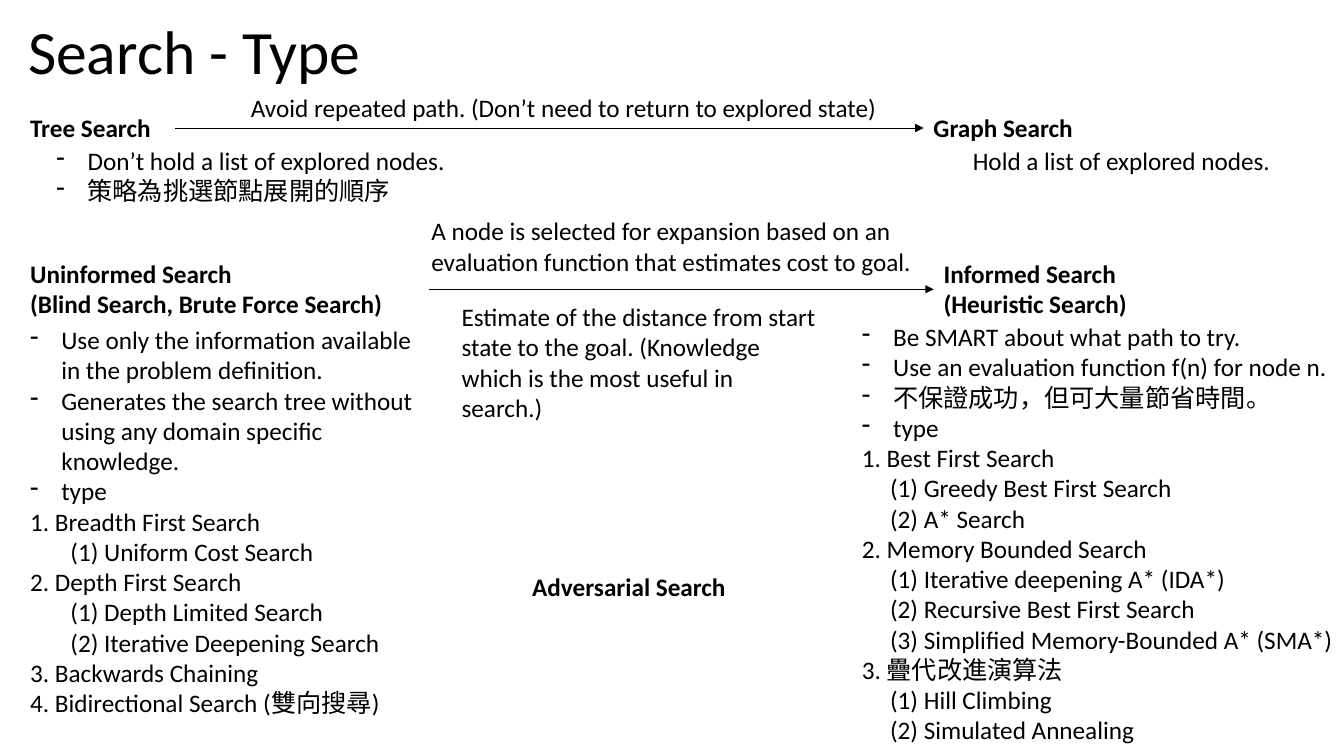
from dataclasses import dataclass

from lxml.etree import SubElement
from pptx import Presentation
from pptx.dml.color import RGBColor
from pptx.enum.shapes import MSO_CONNECTOR as Connector
from pptx.enum.text import MSO_ANCHOR as Anchor
from pptx.oxml.ns import qn
from pptx.util import Inches, Pt

FONT = "Calibri"
BLACK = "000000"
BULLET = "- "
BULLET_INDENT = 0.31


@dataclass
class TextBlock:
    """Lines of text; "- " starts a bullet and "(" a sub-item."""
    left: float
    top: float
    width: float
    height: float
    lines: list[str]
    bold: bool = False
    sub_indent: float = 0
    size: int = 18
    anchor: Anchor = Anchor.TOP
    spacing: float = 1.0


@dataclass
class Arrow:
    """A horizontal arrow pointing right."""
    start: float
    end: float
    y: float


BLOCKS = [
    TextBlock(0.18, 0.14, 12.91, 0.8, ["Search - Type"], size=44,
              anchor=Anchor.MIDDLE, spacing=0.9),
    TextBlock(9.16, 1.07, 1.72, 0.4, ["Graph Search"], bold=True),
    TextBlock(0.2, 1.07, 1.54, 0.4, ["Tree Search"], bold=True),
    TextBlock(9.55, 1.39, 3.35, 0.4, ["Hold a list of explored nodes."]),
    TextBlock(0.46, 1.39, 4.11, 0.71, [
        "- Don’t hold a list of explored nodes.",
        "- 策略為挑選節點展開的順序",
    ]),
    TextBlock(2.39, 0.87, 6.63, 0.4, [
        "Avoid repeated path. (Don’t need to return to explored state)"]),
    TextBlock(0.2, 2.51, 4.05, 0.71, [
        "Uninformed Search", "(Blind Search, Brute Force Search)"], bold=True),
    TextBlock(9.26, 2.51, 3.42, 0.71, [
        "Informed Search", "(Heuristic Search)"], bold=True),
    TextBlock(0.2, 3.17, 4.05, 4.04, [
        "- Use only the information available in the problem definition.",
        "- Generates the search tree without using any domain specific knowledge.",
        "- type",
        "1. Breadth First Search",
        "(1) Uniform Cost Search",
        "2. Depth First Search",
        "(1) Depth Limited Search",
        "(2) Iterative Deepening Search",
        "3. Backwards Chaining",
        "4. Bidirectional Search (雙向搜尋)",
    ], sub_indent=0.4),
    TextBlock(8.45, 3.14, 4.89, 4.34, [
        "- Be SMART about what path to try.",
        "- Use an evaluation function f(n) for node n.",
        "- 不保證成功，但可大量節省時間。",
        "- type",
        "1. Best First Search",
        "(1) Greedy Best First Search",
        "(2) A* Search",
        "2. Memory Bounded Search",
        "(1) Iterative deepening A* (IDA*)",
        "(2) Recursive Best First Search",
        "(3) Simplified Memory-Bounded A* (SMA*)",
        "3. 疊代改進演算法",
        "(1) Hill Climbing",
        "(2) Simulated Annealing",
    ], sub_indent=0.28),
    TextBlock(4.18, 2.09, 5.08, 0.71, [
        "A node is selected for expansion based on an evaluation function "
        "that estimates cost to goal."]),
    TextBlock(4.48, 2.94, 3.73, 1.01, [
        "Estimate of the distance from start state to the goal. "
        "(Knowledge which is the most useful in search.)"]),
    TextBlock(5.18, 5.62, 2.19, 0.4, ["Adversarial Search"], bold=True),
]

ARROWS = [Arrow(1.74, 9.16, 1.27), Arrow(4.25, 9.26, 2.87)]


def color(value: str) -> RGBColor:
    """Turn a hex string into a colour."""
    return RGBColor.from_string(value)


def indent(para, left: float, first: float = 0) -> None:
    """Set the left margin and first-line indent in inches."""
    properties = para._p.get_or_add_pPr()
    properties.set("marL", str(Inches(left)))
    properties.set("indent", str(Inches(first)))


def write_line(para, line: str, block: TextBlock) -> None:
    """Fill one paragraph and style it by how its line starts."""
    para.text = line.removeprefix(BULLET)
    para.line_spacing = block.spacing
    if line.startswith(BULLET):
        indent(para, BULLET_INDENT, -BULLET_INDENT)
        SubElement(para._p.get_or_add_pPr(), qn("a:buChar"), char="-")
    elif line.startswith("(") and block.sub_indent:
        indent(para, block.sub_indent)
    for span in para.runs:
        span.font.name = FONT
        span.font.size = Pt(block.size)
        span.font.bold = block.bold
        span.font.color.rgb = color(BLACK)


def add_block(page, block: TextBlock) -> None:
    """Place a wrapped text box with all its lines."""
    box = page.shapes.add_textbox(Inches(block.left), Inches(block.top),
                                  Inches(block.width), Inches(block.height))
    frame = box.text_frame
    frame.word_wrap = True
    frame.vertical_anchor = block.anchor
    frame.text = "\n".join(block.lines)
    for para, line in zip(frame.paragraphs, block.lines):
        write_line(para, line, block)


def add_arrow(page, arrow: Arrow) -> None:
    """Draw a thin connector with a triangle at its right end."""
    link = page.shapes.add_connector(
        Connector.STRAIGHT, Inches(arrow.start), Inches(arrow.y),
        Inches(arrow.end), Inches(arrow.y))
    link.line.color.rgb = color(BLACK)
    link.line.width = Pt(0.5)
    SubElement(link.line._get_or_add_ln(), qn("a:tailEnd"), type="triangle")
    SubElement(link._element.spPr, qn("a:effectLst"))


def main() -> None:
    """Build the slide and save it."""
    deck = Presentation()
    deck.slide_width = Inches(13.33)
    deck.slide_height = Inches(7.5)
    page = deck.slides.add_slide(deck.slide_layouts[6])
    for block in BLOCKS:
        add_block(page, block)
    for arrow in ARROWS:
        add_arrow(page, arrow)
    deck.save("out.pptx")


main()
